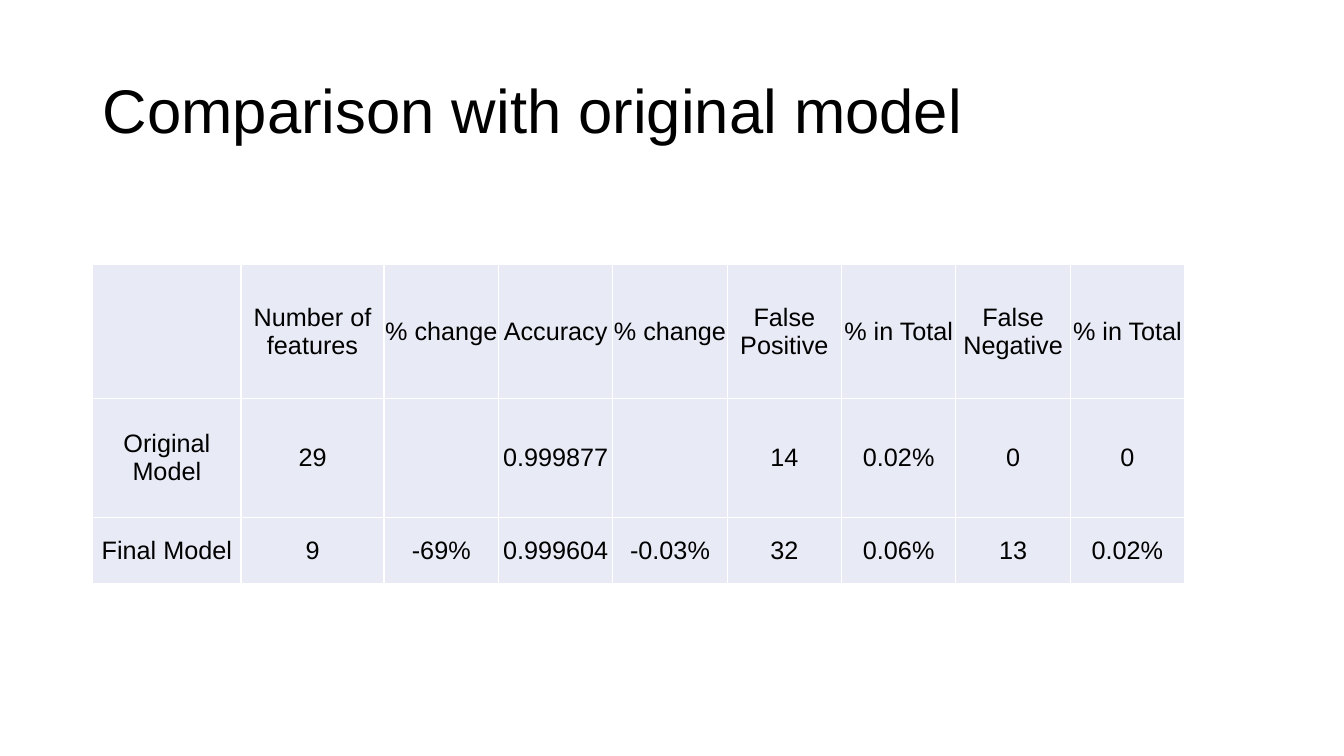
from dataclasses import dataclass

from lxml import etree
from pptx import Presentation
from pptx.dml.color import RGBColor
from pptx.enum.text import MSO_ANCHOR, PP_ALIGN
from pptx.oxml.ns import qn
from pptx.util import Inches, Pt

MIDDLE = MSO_ANCHOR.MIDDLE
LEFT = PP_ALIGN.LEFT
CENTER = PP_ALIGN.CENTER


@dataclass(frozen=True)
class Theme:
    font: str = "Arial"
    text: RGBColor = RGBColor(0x00, 0x00, 0x00)
    cell: RGBColor = RGBColor(0xE8, 0xEB, 0xF5)
    border: str = "FFFFFF"
    title_size: Pt = Pt(44)
    cell_size: Pt = Pt(18)
    border_width: Pt = Pt(1)


theme = Theme()


def style_paragraph(paragraph, size, alignment):
    paragraph.alignment = alignment
    paragraph.font.name = theme.font
    paragraph.font.size = size
    paragraph.font.color.rgb = theme.text


def add_borders(cell):
    properties = cell._tc.get_or_add_tcPr()
    for position, side in enumerate(("a:lnL", "a:lnR", "a:lnT", "a:lnB")):
        edge = etree.Element(qn(side), w=str(theme.border_width))
        fill = etree.SubElement(edge, qn("a:solidFill"))
        etree.SubElement(fill, qn("a:srgbClr"), val=theme.border)
        properties.insert(position, edge)


presentation = Presentation()
presentation.slide_width = Inches(13.33)
presentation.slide_height = Inches(7.5)
slide = presentation.slides.add_slide(presentation.slide_layouts[5])

margin = Inches(0.92)

title = slide.shapes.title
title.left, title.top = margin, Inches(0.4)
title.width, title.height = presentation.slide_width - 2 * margin, Inches(1.45)
title.text_frame.text = "Comparison with original model"
title.text_frame.vertical_anchor = MIDDLE
title.text_frame.word_wrap = True
heading = title.text_frame.paragraphs[0]
heading.line_spacing = 0.9
style_paragraph(heading, theme.title_size, LEFT)

comparison = [
    ["", "Number of features", "% change", "Accuracy", "% change",
     "False Positive", "% in Total", "False Negative", "% in Total"],
    ["Original Model", "29", "", "0.999877", "", "14", "0.02%", "0", "0"],
    ["Final Model", "9", "-69%", "0.999604", "-0.03%", "32", "0.06%", "13", "0.02%"],
]

table_width = Inches(10.83)
row_heights = [Inches(1.33), Inches(1.18), Inches(0.66)]
lead_widths = [Inches(1.47), Inches(1.42)]
metric_count = len(comparison[0]) - len(lead_widths)
metric_width = (table_width - sum(lead_widths)) // metric_count
column_widths = lead_widths + [metric_width] * metric_count

table = slide.shapes.add_table(
    len(comparison), len(column_widths),
    margin, Inches(2.62), table_width, sum(row_heights),
).table
table.first_row = False
table.horz_banding = False

for column, width in zip(table.columns, column_widths):
    column.width = width

for row, height, values in zip(table.rows, row_heights, comparison):
    row.height = height
    for cell, value in zip(row.cells, values):
        cell.text = value
        cell.vertical_anchor = MIDDLE
        cell.margin_left = cell.margin_right = cell.margin_top = Inches(0.01)
        cell.margin_bottom = 0
        cell.fill.solid()
        cell.fill.fore_color.rgb = theme.cell
        add_borders(cell)
        style_paragraph(cell.text_frame.paragraphs[0], theme.cell_size, CENTER)

presentation.save("out.pptx")
